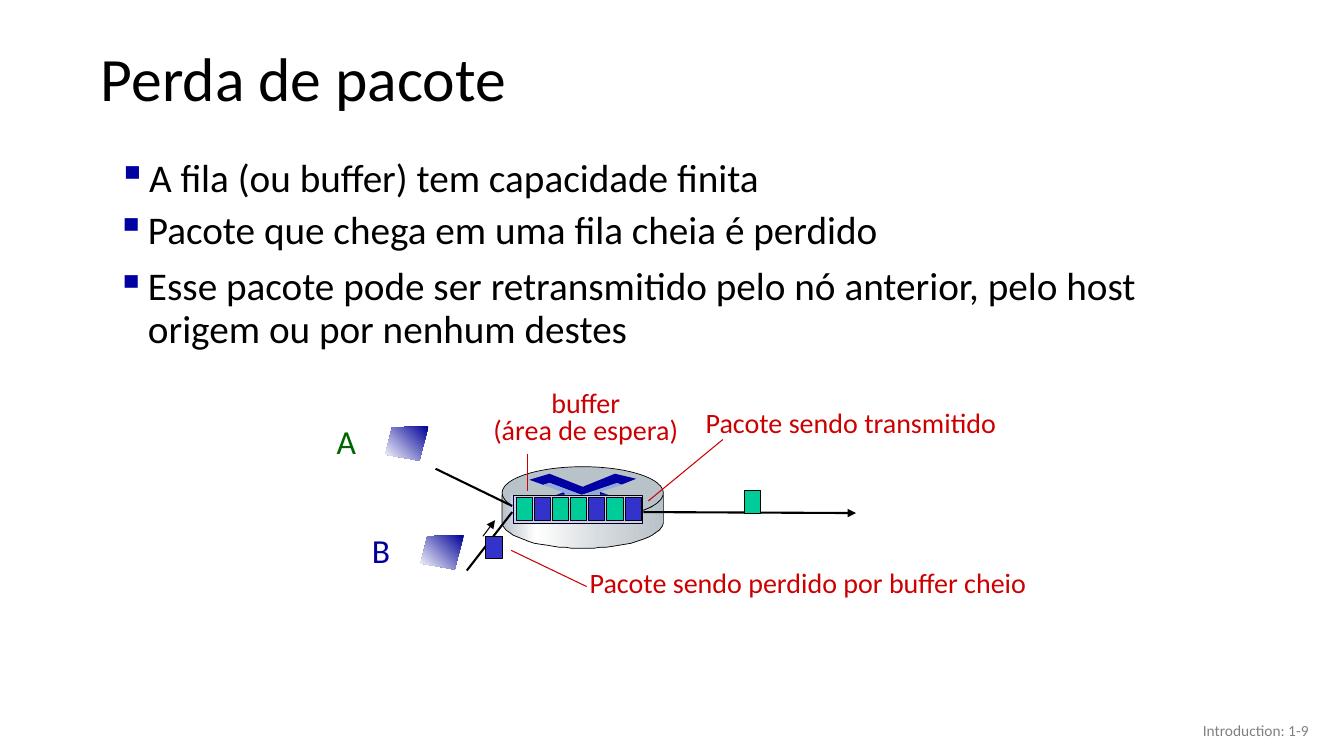
from dataclasses import dataclass

from lxml.etree import SubElement
from pptx import Presentation
from pptx.dml.color import RGBColor
from pptx.enum.shapes import MSO_CONNECTOR, MSO_SHAPE
from pptx.enum.text import MSO_ANCHOR, MSO_AUTO_SIZE, PP_ALIGN
from pptx.oxml.ns import qn
from pptx.util import Pt

PX = 9144


@dataclass(frozen=True)
class Theme:
    font: str = "Calibri"
    title: int = 44
    body: int = 28
    host: int = 24
    label: int = 20
    foot: int = 11
    black: str = "000000"
    grey: str = "808080"
    red: str = "CC0000"
    green: str = "006600"
    navy: str = "000099"
    mark: str = "0000A3"
    core: str = "8FAADC"
    steel: str = "B8C2C9"
    tray: str = "CCCCFF"
    mint: str = "00CC99"
    blue: str = "3333CC"
    metal: tuple = ((0, "B8C2C9"), (21, "FFFFFF"), (60, "D6DCE0"), (100, "B8C2C9"))
    fade: tuple = ((0, "000099"), (100, "FFFFFF"))


T = Theme()
CELLS = (T.mint, T.blue, T.mint, T.mint, T.blue, T.mint, T.blue)


def rgb(code):
    return RGBColor.from_string(code)


def scale(*nums):
    return [round(n * PX) for n in nums]


def write(para, text, size, color, align=PP_ALIGN.LEFT, space=None):
    para.alignment = align
    if space:
        para.line_spacing = space
    run = para.add_run()
    run.text = text
    run.font.name = T.font
    run.font.size = Pt(size)
    run.font.color.rgb = rgb(color)


def label(slide, box, lines, size, color, align=PP_ALIGN.LEFT, space=None):
    """Add an unwrapped text box that grows with its lines."""
    frame = slide.shapes.add_textbox(*scale(*box)).text_frame
    frame.word_wrap = False
    frame.auto_size = MSO_AUTO_SIZE.SHAPE_TO_FIT_TEXT
    for i, line in enumerate(lines):
        para = frame.add_paragraph() if i else frame.paragraphs[0]
        write(para, line, size, color, align, space)


def paint(shape, fill=None, line=None):
    """Set a plain fill, or leave it out, and a black outline of given points."""
    shape.shadow.inherit = False
    if fill:
        shape.fill.solid()
        shape.fill.fore_color.rgb = rgb(fill)
    else:
        shape.fill.background()
    if line:
        shape.line.color.rgb = rgb(T.black)
        shape.line.width = Pt(line)
    else:
        shape.line.fill.background()


def blend(shape, stops, angle):
    shape.fill.gradient()
    shape.fill.gradient_angle = angle
    group = shape._element.spPr.find(".//" + qn("a:gsLst"))
    for old in list(group):
        group.remove(old)
    for pos, code in stops:
        stop = SubElement(group, qn("a:gs"), pos=str(pos * 1000))
        SubElement(stop, qn("a:srgbClr"), val=code)


def block(slide, box, fill=None, line=None, kind=MSO_SHAPE.RECTANGLE):
    paint(slide.shapes.add_shape(kind, *scale(*box)), fill, line)


def packet(slide, x, y, color):
    block(slide, (x, y, 16, 22), color, 0.75)


def wire(slide, x, y, ends, color=T.black, width=1.5, arrow=False):
    x1, y1, x2, y2 = ends
    line = slide.shapes.add_connector(
        MSO_CONNECTOR.STRAIGHT, *scale(x + x1, y + y1, x + x2, y + y2))
    line.line.color.rgb = rgb(color)
    line.line.width = Pt(width)
    props = line._element.spPr
    if arrow:
        SubElement(props.find(qn("a:ln")), qn("a:tailEnd"), type="triangle")
    SubElement(props, qn("a:effectLst"))


def curve(a, b, c, d, steps=16):
    """Give the points of a cubic curve after its start."""
    for i in range(1, steps + 1):
        t = i / steps
        u = 1 - t
        yield tuple(u**3 * p + 3 * u * u * t * q + 3 * u * t * t * r + t**3 * s
                    for p, q, r, s in zip(a, b, c, d))


def outline(slide, x, y, points):
    spots = [(x + px, y + py) for px, py in points]
    pen = slide.shapes.build_freeform(*spots[0], scale=PX)
    pen.add_line_segments(spots[1:], close=True)
    return pen.convert_to_shape()


def router(slide, x, y):
    side = [(160, 28), (160, 56)]
    side += curve((160, 56), (155, 75), (107, 81), (80, 81))
    side += curve((80, 81), (54, 81), (5, 75), (0, 56))
    side.append((0, 28))
    side += curve((0, 28), (7, 44), (53, 53), (79, 53))
    side += curve((79, 53), (106, 53), (152, 47), (160, 28))
    drum = outline(slide, x, y, side)
    paint(drum, T.steel, 0.5)
    blend(drum, T.metal, 0)
    block(slide, (x, y, 160, 52), T.steel, 0.5, MSO_SHAPE.OVAL)
    blades = (
        (T.mark, [(112, 7), (133, 12), (118, 18), (114, 17), (79, 28),
                  (47, 16), (41, 18), (27, 13), (47, 7), (80, 20)]),
        (T.mark, [(97, 25), (136, 39), (122, 44), (96, 35)]),
        (T.mark, [(62, 25), (63, 35), (37, 44), (23, 39)]),
        (T.core, [(41, 18), (47, 16), (79, 28), (114, 16), (119, 18),
                  (97, 25), (97, 35), (122, 44), (115, 45), (80, 32),
                  (43, 45), (37, 43), (62, 35), (62, 26)]),
    )
    for color, points in blades:
        paint(outline(slide, x, y, points), color)


def queue(slide, x, y):
    for i, color in enumerate(CELLS):
        packet(slide, x + 5 + 18 * i, y + 3, color)
    block(slide, (x + 2, y + 1, 128, 27), line=0.75)


def host(slide, x, y):
    shape = outline(slide, x, y, [(43, 0), (7, 1), (0, 28), (34, 34)])
    paint(shape, T.navy)
    blend(shape, T.fade, 225)


def diagram(slide, x, y):
    router(slide, x + 178, y + 83)
    block(slide, (x + 187, y + 111, 131, 29), T.tray)
    for ends in ((112, 85, 188, 122), (143, 186, 188, 128)):
        wire(slide, x, y, ends)
    wire(slide, x, y, (318, 128, 529, 129), arrow=True)
    queue(slide, x + 187, y + 111)
    packet(slide, x + 418, y + 107, T.mint)
    packet(slide, x + 162, y + 152, T.blue)
    wire(slide, x, y, (159, 152, 171, 136), width=0.75, arrow=True)
    for ends in ((397, 56, 323, 117), (203, 70, 203, 107), (262, 202, 187, 166)):
        wire(slide, x, y, ends, T.red, 0.75)
    for name, color, dx, dy in (("A", T.green, 4, 33), ("B", T.navy, 39, 141)):
        label(slide, (x + dx, y + dy, 39, 50), [name], T.host, color)
        host(slide, x + dx + 58, y + dy + 10)
    notes = (
        ((370, 24, 311, 38), ["Pacote sendo transmitido"], PP_ALIGN.LEFT),
        ((158, 4, 206, 65), ["buffer", "(área de espera)"], PP_ALIGN.CENTER),
        ((255, 183, 458, 38), ["Pacote sendo perdido por buffer cheio"], PP_ALIGN.LEFT),
    )
    for (dx, dy, w, h), lines, align in notes:
        label(slide, (x + dx, y + dy, w, h), lines, T.label, T.red, align, 0.8)


def header(slide, box, text):
    title = slide.shapes.title
    title.left, title.top, title.width, title.height = scale(*box)
    frame = title.text_frame
    frame.auto_size = MSO_AUTO_SIZE.NONE
    frame.vertical_anchor = MSO_ANCHOR.MIDDLE
    write(frame.paragraphs[0], text, T.title, T.black, space=0.9)


def bullets(slide, box, items):
    frame = slide.shapes.add_textbox(*scale(*box)).text_frame
    frame.word_wrap = True
    for i, item in enumerate(items):
        para = frame.add_paragraph() if i else frame.paragraphs[0]
        props = para._p.get_or_add_pPr()
        props.set("marL", str(31 * PX))
        props.set("indent", str(-31 * PX))
        SubElement(SubElement(props, qn("a:buClr")), qn("a:srgbClr"), val=T.mark)
        SubElement(props, qn("a:buChar"), char="▪")
        para.space_before = Pt(10 if i else 0)
        write(para, item, T.body, T.black, space=0.9)


def footer(slide, box, text):
    frame = slide.shapes.add_textbox(*scale(*box)).text_frame
    frame.word_wrap = True
    frame.vertical_anchor = MSO_ANCHOR.MIDDLE
    write(frame.paragraphs[0], text, T.foot, T.grey, PP_ALIGN.RIGHT)


def main():
    deck = Presentation()
    deck.slide_width, deck.slide_height = scale(1333, 750)
    slide = deck.slides.add_slide(deck.slide_layouts[5])
    header(slide, (90, 32, 1150, 98), "Perda de pacote")
    bullets(slide, (107, 152, 1117, 79), ["A fila (ou buffer) tem capacidade finita"])
    bullets(slide, (106, 204, 1117, 232), [
        "Pacote que chega em uma fila cheia é perdido",
        "Esse pacote pode ser retransmitido pelo nó anterior, "
        "pelo host origem ou por nenhum destes"])
    diagram(slide, 320, 380)
    footer(slide, (1008, 705, 300, 40), "Introduction: 1-9")
    deck.save("out.pptx")


if __name__ == "__main__":
    main()
